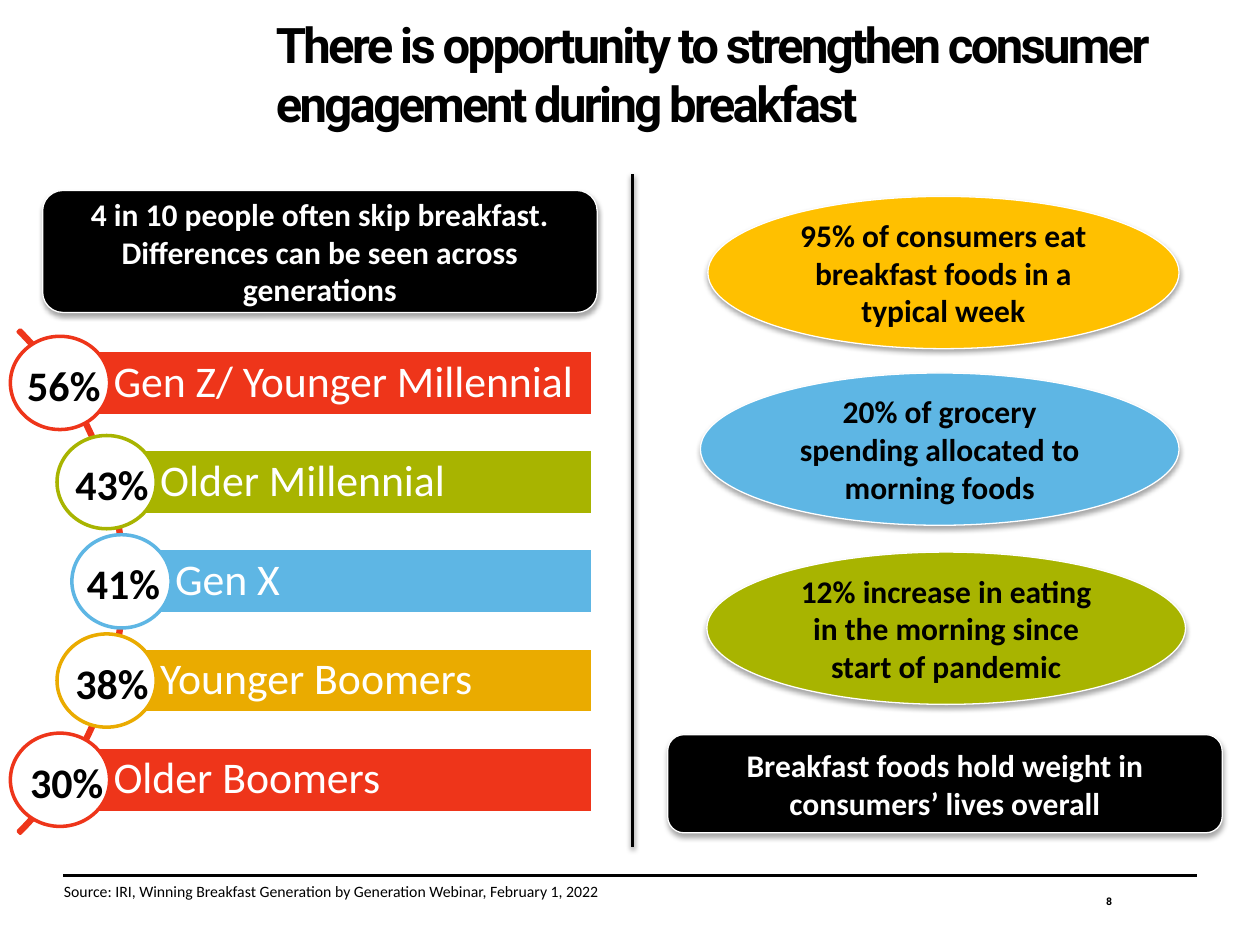
from lxml import etree
from pptx import Presentation
from pptx import util as u
from pptx.dml import color
from pptx.enum import shapes, text
from pptx.oxml import ns

BLACK, WHITE = "000000", "FFFFFF"
RED, GREEN, BLUE, GOLD, AMBER = "EE351A", "A8B400", "5EB6E4", "EAAB00", "FFC000"

# Generation, share, colour, bar left, share left (cm)
GENERATIONS = [
    ("Gen Z/ Younger Millennial", "56%", RED, 1.22, 0.3),
    ("Older Millennial", "43%", GREEN, 2.16, 1.27),
    ("Gen X", "41%", BLUE, 2.46, 1.5),
    ("Younger Boomers", "38%", GOLD, 2.16, 1.27),
    ("Older Boomers", "30%", RED, 1.22, 0.36),
]
BAR_TOP, BAR_STEP, BAR_HEIGHT, BAR_RIGHT = 7.06, 2, 1.32, 11.96

# Finding, colour, left, top, width (cm)
FINDINGS = [
    ("95% of consumers eat breakfast foods in a typical week", AMBER, 14.27, 3.96, 9.5),
    ("20% of grocery spending allocated to morning foods", BLUE, 14.12, 7.52, 9.65),
    ("12% increase in eating in the morning since start of pandemic", GREEN, 14.25, 11.13, 9.65),
]

# Message, left, top, height (cm)
MESSAGES = [
    ("4 in 10 people often skip breakfast. Differences can be seen across generations",
     0.86, 3.84, 2.46),
    ("Breakfast foods hold weight in consumers’ lives overall", 13.46, 14.81, 1.98),
]


def rgb(value):
    return color.RGBColor.from_string(value)


def box(*lengths):
    return [u.Cm(length) for length in lengths]


def set_effects(element, opacity=None, distance=1.8):
    """Replace the theme shadow by none, or by a soft one falling downwards."""
    properties = element.spPr
    for old in properties.findall(ns.qn("a:effectLst")):
        properties.remove(old)
    effects = etree.SubElement(properties, ns.qn("a:effectLst"))
    if opacity:
        shadow = etree.SubElement(effects, ns.qn("a:outerShdw"), blurRad=str(u.Pt(3.1)),
                                  dist=str(u.Pt(distance)), dir="5400000", rotWithShape="0")
        tint = etree.SubElement(shadow, ns.qn("a:srgbClr"), val=BLACK)
        etree.SubElement(tint, ns.qn("a:alpha"), val=str(opacity * 1000))


def write(frame, words, size, ink, bold=False, font="Calibri"):
    run = frame.paragraphs[0].add_run()
    run.text = words
    run.font.name, run.font.size, run.font.bold = font, u.Pt(size), bold
    run.font.color.rgb = rgb(ink)
    return run


def add_label(slide, words, place, size, bold=False, font="Calibri", wrap=True):
    frame = slide.shapes.add_textbox(*box(*place)).text_frame
    frame.word_wrap = wrap
    write(frame, words, size, BLACK, bold, font)
    return frame


def add_figure(slide, kind, place, fill, outline, width, opacity=None):
    figure = slide.shapes.add_shape(kind, *box(*place))
    if fill:
        figure.fill.solid()
        figure.fill.fore_color.rgb = rgb(fill)
    else:
        figure.fill.background()
    figure.line.color.rgb = rgb(outline)
    figure.line.width = u.Pt(width)
    set_effects(figure.element, opacity)
    return figure


def add_callout(slide, kind, place, words, fill, ink):
    frame = add_figure(slide, kind, place, fill, WHITE, 0.75, 35).text_frame
    frame.word_wrap = True
    frame.vertical_anchor = text.MSO_ANCHOR.MIDDLE
    frame.paragraphs[0].alignment = text.PP_ALIGN.CENTER
    write(frame, words, 18, ink, bold=True)


def add_rule(slide, ends, opacity=None):
    rule = slide.shapes.add_connector(shapes.MSO_CONNECTOR.STRAIGHT, *box(*ends))
    rule.line.color.rgb = rgb(BLACK)
    rule.line.width = u.Pt(2)
    set_effects(rule.element, opacity, 1.6)


def add_title(slide, words):
    title = slide.shapes.title
    title.left, title.top, title.width, title.height = box(5.56, 0.3, 18.57, 2.03)
    frame = title.text_frame
    frame.auto_size = text.MSO_AUTO_SIZE.NONE
    frame.word_wrap = True
    frame.vertical_anchor = text.MSO_ANCHOR.TOP
    frame.margin_left = frame.margin_top = frame.margin_right = frame.margin_bottom = 0
    heading = frame.paragraphs[0]
    heading.alignment = text.PP_ALIGN.LEFT
    heading.line_spacing = 1.0
    run = write(frame, words, 28, BLACK, True, "Roboto")
    run.font._element.set("spc", "-150")


def add_generation(slide, row, name, hue, left):
    top = BAR_TOP + row * BAR_STEP
    bar = add_figure(slide, shapes.MSO_SHAPE.RECTANGLE,
                     (left, top, BAR_RIGHT - left, BAR_HEIGHT), hue, WHITE, 2)
    frame = bar.text_frame
    frame.word_wrap = True
    frame.vertical_anchor = text.MSO_ANCHOR.MIDDLE
    frame.margin_left = u.Cm(1.07)
    frame.margin_top = frame.margin_right = frame.margin_bottom = u.Cm(0.18)
    frame.paragraphs[0].alignment = text.PP_ALIGN.LEFT
    frame.paragraphs[0].line_spacing = 0.9
    write(frame, name, 25, WHITE)
    add_figure(slide, shapes.MSO_SHAPE.OVAL, (left - 1.01, top - 0.28, 2, 1.88), WHITE, hue, 2)


def main():
    deck = Presentation()
    deck.slide_width, deck.slide_height = box(25.4, 19.05)
    slide = deck.slides.add_slide(deck.slide_layouts[5])

    # Heading and footer
    add_title(slide, "There is opportunity to strengthen consumer engagement during breakfast")
    add_rule(slide, (1.27, 17.65, 24.13, 17.65))
    number = add_label(slide, "8", (22.05, 17.65, 2.08, 1.02), 6, True, "Roboto")
    number.vertical_anchor = text.MSO_ANCHOR.MIDDLE
    add_label(slide, "Source: IRI, Winning Breakfast Generation by Generation Webinar, "
              "February 1, 2022", (1.04, 17.65, 11.53, 0.64), 9, wrap=False)

    # Generations along an arc
    arc = add_figure(slide, shapes.MSO_SHAPE.BLOCK_ARC, (-11.84, 4.55, 14.35, 14.35), None, RED, 2)
    for index, value in enumerate((189, 27, 0.004)):
        arc.adjustments[index] = value
    for row, (name, share, hue, bar_left, share_left) in enumerate(GENERATIONS):
        add_generation(slide, row, name, hue, bar_left)
        add_label(slide, share, (share_left, BAR_TOP + 0.06 + row * BAR_STEP, 2.06, 1.27),
                  24, True, wrap=False)

    # Divider, messages and findings
    add_rule(slide, (12.75, 3.51, 12.75, 17.07), 38)
    for words, left, top, height in MESSAGES:
        add_callout(slide, shapes.MSO_SHAPE.ROUNDED_RECTANGLE, (left, top, 11.18, height),
                    words, BLACK, WHITE)
    for words, hue, left, top, width in FINDINGS:
        add_callout(slide, shapes.MSO_SHAPE.OVAL, (left, top, width, 3.07), words, hue, BLACK)

    deck.save("out.pptx")


if __name__ == "__main__":
    main()
